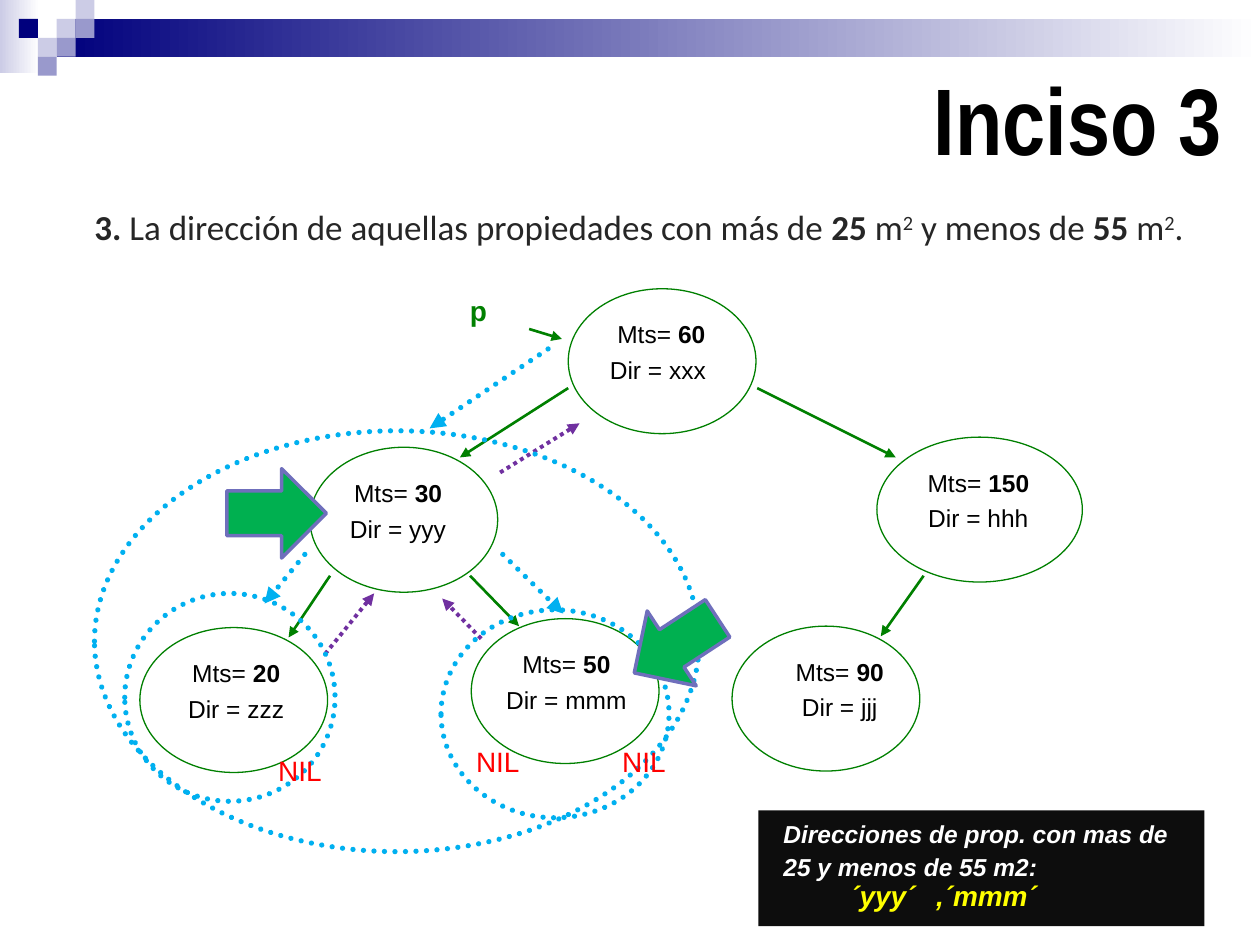
from lxml.etree import SubElement
from pptx import Presentation
from pptx.dml.color import RGBColor
from pptx.enum.dml import MSO_LINE
from pptx.enum.shapes import MSO_CONNECTOR, MSO_SHAPE as Shape
from pptx.enum.text import MSO_ANCHOR, MSO_AUTO_SIZE, PP_ALIGN as Align
from pptx.oxml.ns import qn
from pptx.util import Pt

color = RGBColor.from_string
GREEN, BLUE, PURPLE = "008000", "00B0F0", "7030A0"

presentation = Presentation()
presentation.slide_width, presentation.slide_height = Pt(720), Pt(540)
slide = presentation.slides.add_slide(presentation.slide_layouts[5])


def add_shape(kind, box, fill=None, line=None, width=0.75):
    shape = slide.shapes.add_shape(kind, *map(Pt, box))
    shape.shadow.inherit = False
    if fill:
        shape.fill.solid()
        shape.fill.fore_color.rgb = color(fill)
    else:
        shape.fill.background()
    if line:
        shape.line.color.rgb = color(line)
        shape.line.width = Pt(width)
    else:
        shape.line.fill.background()
    return shape


def add_text(box, lines, size, hex_color, font="Arial", align=Align.LEFT):
    """Each line is a list of (text, style) runs; style holds b, i and ^ marks."""
    text_frame = slide.shapes.add_textbox(*map(Pt, box)).text_frame
    text_frame.word_wrap = True
    for index, runs in enumerate(lines):
        paragraph = text_frame.add_paragraph() if index else text_frame.paragraphs[0]
        paragraph.alignment = align
        if index:
            paragraph.space_before = Pt(3.5)
        for text, style in runs:
            run = paragraph.add_run()
            run.text = text
            run.font.name, run.font.size = font, Pt(size)
            run.font.color.rgb = color(hex_color)
            run.font.bold, run.font.italic = "b" in style, "i" in style
            if "^" in style:
                run.font._element.set("baseline", "30000")
    return text_frame


# Header bands and squares
for box, start in [((0, 0, 22.5, 42), "CCCCE6"), ((32.4, 10.8, 687.6, 21.6), "00007D")]:
    band = add_shape(Shape.RECTANGLE, box, start)
    band.fill.gradient()
    band.fill.gradient_angle = 0
    for stop, hex_color, position in zip(band.fill.gradient_stops, (start, "FFFFFF"), (0, 1)):
        stop.color.rgb = color(hex_color)
        stop.position = position

SQUARE = 10.8
for column, row, fill in [(3, 1, "CCCCE6"), (4, 0, "CCCCE6"), (4, 1, "9999CC"), (2, 2, "CCCCE6"),
                          (1, 1, "00007D"), (3, 2, "9999CC"), (2, 3, "9999CC")]:
    left = column * SQUARE
    add_shape(Shape.RECTANGLE, (left, row * SQUARE, SQUARE, SQUARE), fill)

# Title
title = slide.shapes.title
title.left, title.top, title.width, title.height = Pt(31.7), Pt(32.4), Pt(673.9), Pt(69.8)
title.text_frame.text = "Inciso 3"
title.text_frame.auto_size = MSO_AUTO_SIZE.NONE
title.text_frame.vertical_anchor = MSO_ANCHOR.MIDDLE
paragraph = title.text_frame.paragraphs[0]
paragraph.alignment = Align.RIGHT
font = paragraph.runs[0].font
font.name, font.size, font.bold = "Arial Narrow", Pt(54), True
font.color.rgb = color("000000")

# Question
question = [("3.", "b"), (" La dirección de aquellas propiedades con más de ", ""), ("25", "b"),
            (" m", ""), ("2", "^"), (" y menos de ", ""), ("55", "b"), (" m", ""), ("2", "^"),
            (".", "")]
text_frame = add_text((46.8, 111.6, 647.3, 33.8), [question], 20, "262626", "Calibri")
text_frame.paragraphs[0].line_spacing = 1.1

# Tree nodes: ellipse left, top, width; text left, width; contents
for left, top, width, text_left, text_width, metres, address in [
    (324.7, 165, 107.3, 321.8, 112.3, "60", "xxx "),
    (177.1, 255.6, 107.3, 155.5, 144, "30", "yyy"),
    (501.1, 249.8, 117.4, 491.8, 134.6, "150", "hhh"),
    (269.3, 353.5, 107.3, 257.8, 131.8, "50", "mmm"),
    (79.9, 358.6, 107.3, 76.3, 117.4, "20", "zzz"),
    (418.3, 357.8, 107.3, 418.3, 123.1, "90", "jjj"),
]:
    add_shape(Shape.OVAL, (left, top, width, 82.8), line=GREEN)
    add_text((text_left, top + 14, text_width, 72.7),
             [[("Mts= ", ""), (metres, "b")], [("Dir = " + address, "")]],
             14, "000000", align=Align.CENTER)

# Arrows: tree links, calls going down, returns going up
dotted = []
for hex_color, width, routes in [
    (GREEN, 1.5, [(302.4, 188, 321.1, 193.7), (324.7, 221.8, 262.8, 261.4),
                  (432.7, 221.8, 511.9, 261.4), (268.6, 329, 296.6, 357.8),
                  (188.6, 329, 164.9, 364.3), (527.8, 329, 503.3, 363.6)]),
    (BLUE, 3, [(313.2, 199.4, 245.5, 244.8), (174.2, 316.8, 151.2, 344.9),
               (287.3, 316.8, 321.8, 350.6)]),
    (PURPLE, 2.25, [(185.8, 373.7, 213.8, 339.1), (275, 365, 252.7, 342),
                    (285.8, 270, 331.2, 241.9)]),
]:
    for route in routes:
        arrow = slide.shapes.add_connector(MSO_CONNECTOR.STRAIGHT, *map(Pt, route))
        arrow.line.color.rgb = color(hex_color)
        arrow.line.width = Pt(width)
        if hex_color != GREEN:
            dotted.append(arrow)
        SubElement(arrow.line._get_or_add_ln(), qn("a:tailEnd"), type="triangle")
        SubElement(arrow._element.spPr, qn("a:effectLst"))

# Visited subtrees
for box in [(54, 246.2, 345.6, 240.5), (71.3, 339.1, 120.2, 118.8), (252, 348.5, 130.3, 118.8)]:
    dotted.append(add_shape(Shape.OVAL, box, line=BLUE, width=3))

for shape in dotted:
    shape.line.dash_style = MSO_LINE.ROUND_DOT
    if shape.line.color.rgb == color(BLUE):
        shape.line._get_or_add_ln().set("cap", "rnd")

# Labels
add_text((261.4, 164.2, 30, 26.6), [[("p", "b")]], 16, GREEN)
for left, top in [(151.9, 427), (265, 421.9), (348.5, 421.9)]:
    add_text((left, top, 44, 26.6), [[("NIL", "")]], 16, "FF0000")

# Result box, with room for each address on one line
add_shape(Shape.RECTANGLE, (433.4, 463, 254.9, 66.2), "0D0D0D")
result = [("Direcciones de prop. con mas de 25 y menos de 55 m2:", "bi")]
text_frame = add_text((440.6, 463, 247.7, 66.2), [result], 14, "FFFFFF")
text_frame.paragraphs[0].line_spacing = 1.1
for left, text in [(478.8, "´yyy´"), (527.8, ",´mmm´")]:
    add_text((left, 498.6, 90, 26.6), [[(text, "bi")]], 16, "FFFF00")

# Block arrows on the matching nodes
for left, top, rotation in [(129.6, 267.8, 0), (357.8, 343.4, 146.8)]:
    pointer = add_shape(Shape.RIGHT_ARROW, (left, top, 56.9, 51.1), "00B050", "6F6FBC", 2)
    pointer.rotation = rotation

presentation.save("out.pptx")
